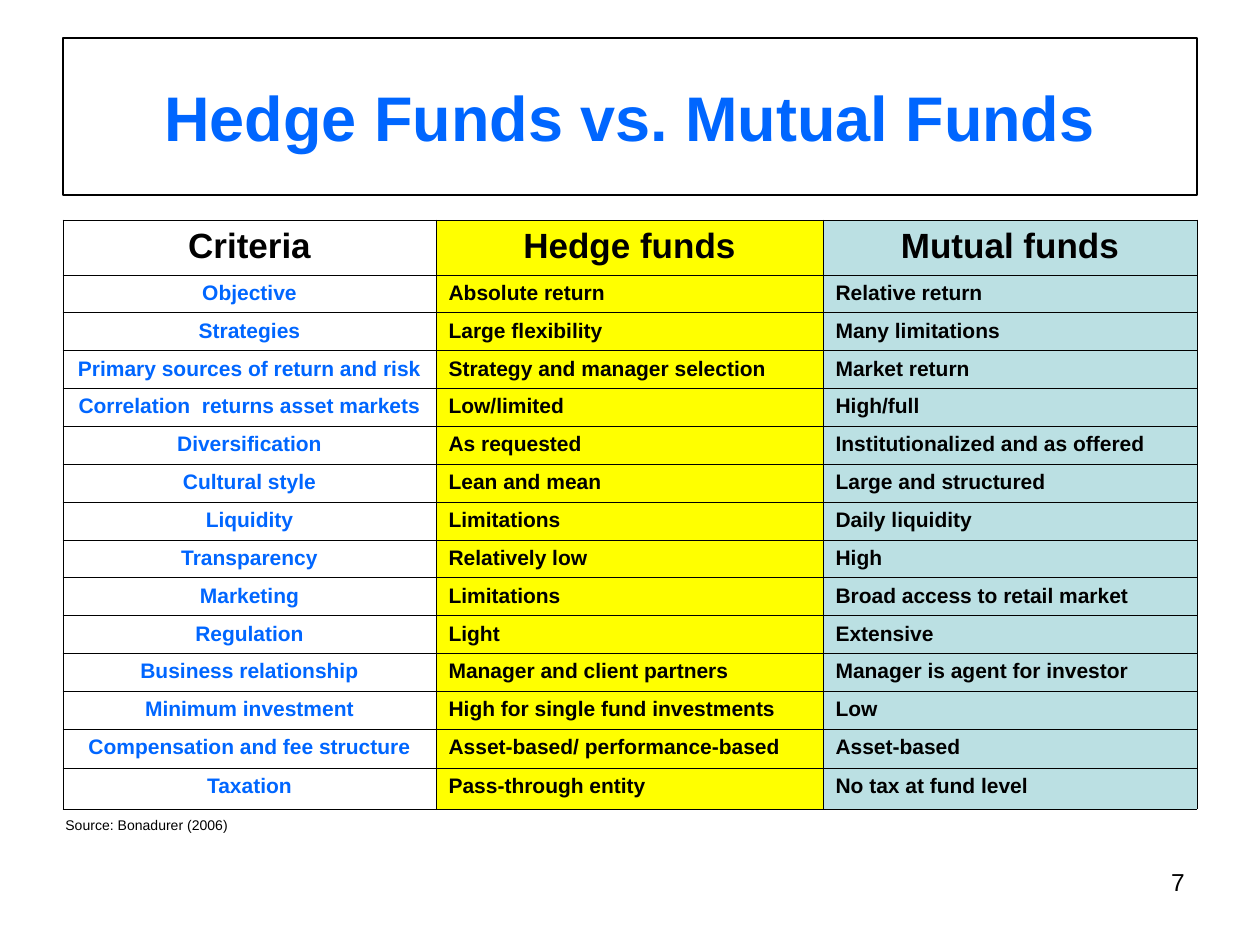
from dataclasses import dataclass

from lxml.etree import SubElement
from pptx import Presentation
from pptx.dml.color import RGBColor
from pptx.enum.shapes import MSO_SHAPE
from pptx.enum.text import MSO_ANCHOR, PP_ALIGN
from pptx.oxml.ns import qn
from pptx.util import Emu, Pt

PX_PER_INCH = 126


@dataclass(frozen=True)
class Theme:
    font: str = "Arial"
    black: str = "000000"
    blue: str = "0066FF"
    yellow: str = "FFFF00"
    teal: str = "BBE0E3"
    title_size: int = 36
    header_size: int = 20
    body_size: int = 12
    number_size: int = 14
    source_size: int = 8
    frame_width: float = 1.5
    grid_width: float = 0.45


THEME = Theme()


@dataclass(frozen=True)
class Box:
    left: int
    top: int
    width: int
    height: int

    def emu(self) -> tuple:
        return px(self.left), px(self.top), px(self.width), px(self.height)


@dataclass(frozen=True)
class Column:
    header: str
    width: int
    fill: str | None
    color: str
    align: PP_ALIGN


@dataclass(frozen=True)
class Criterion:
    name: str
    hedge: str
    mutual: str


TITLE_BOX = Box(63, 38, 1134, 157)
TABLE_BOX = Box(63, 220, 1134, 589)
SOURCE_BOX = Box(53, 810, 207, 30)
NUMBER_BOX = Box(903, 861, 294, 65)

HEADER_HEIGHT = 55
EVEN_ROWS = 12
EVEN_ROWS_HEIGHT = 454
LAST_HEIGHTS = (39, 41)

COLUMNS = (
    Column("Criteria", 373, None, THEME.blue, PP_ALIGN.CENTER),
    Column("Hedge funds", 387, THEME.yellow, THEME.black, PP_ALIGN.LEFT),
    Column("Mutual funds", 374, THEME.teal, THEME.black, PP_ALIGN.LEFT),
)

CRITERIA = (
    Criterion("Objective", "Absolute return", "Relative return"),
    Criterion("Strategies", "Large flexibility", "Many limitations"),
    Criterion("Primary sources of return and risk", "Strategy and manager selection", "Market return"),
    Criterion("Correlation  returns asset markets", "Low/limited", "High/full"),
    Criterion("Diversification", "As requested", "Institutionalized and as offered"),
    Criterion("Cultural style", "Lean and mean", "Large and structured"),
    Criterion("Liquidity", "Limitations", "Daily liquidity"),
    Criterion("Transparency", "Relatively low", "High"),
    Criterion("Marketing", "Limitations", "Broad access to retail market"),
    Criterion("Regulation", "Light", "Extensive"),
    Criterion("Business relationship", "Manager and client partners", "Manager is agent for investor"),
    Criterion("Minimum investment", "High for single fund investments", "Low"),
    Criterion("Compensation and fee structure", "Asset-based/ performance-based", "Asset-based"),
    Criterion("Taxation", "Pass-through entity", "No tax at fund level"),
)


def px(length: int) -> Emu:
    return Emu(round(length * 914400 / PX_PER_INCH))


def write(frame, text: str, size: int, color: str, align: PP_ALIGN, bold: bool = False) -> None:
    frame.word_wrap = True
    para = frame.paragraphs[0]
    para.text = text
    para.alignment = align
    para.font.name = THEME.font
    para.font.size = Pt(size)
    para.font.bold = bold
    para.font.color.rgb = RGBColor.from_string(color)


def add_label(page, box: Box, text: str, size: int, align: PP_ALIGN) -> None:
    label = page.shapes.add_textbox(*box.emu())
    write(label.text_frame, text, size, THEME.black, align)


def add_title(page, text: str) -> None:
    frame = page.shapes.add_shape(MSO_SHAPE.RECTANGLE, *TITLE_BOX.emu())
    frame.shadow.inherit = False
    frame.fill.background()
    frame.line.color.rgb = RGBColor.from_string(THEME.black)
    frame.line.width = Pt(THEME.frame_width)
    frame.text_frame.vertical_anchor = MSO_ANCHOR.MIDDLE
    write(frame.text_frame, text, THEME.title_size, THEME.blue, PP_ALIGN.CENTER, bold=True)


def add_borders(cell) -> None:
    """Draw all four sides; call before the fill, which must follow the lines in the XML."""
    properties = cell._tc.get_or_add_tcPr()
    for side in ("a:lnL", "a:lnR", "a:lnT", "a:lnB"):
        line = SubElement(properties, qn(side), w=str(Pt(THEME.grid_width)))
        SubElement(SubElement(line, qn("a:solidFill")), qn("a:srgbClr"), val=THEME.black)


def fill_cell(cell, column: Column, text: str, is_header: bool) -> None:
    add_borders(cell)
    if column.fill:
        cell.fill.solid()
        cell.fill.fore_color.rgb = RGBColor.from_string(column.fill)
    else:
        cell.fill.background()
    if is_header:
        write(cell.text_frame, text, THEME.header_size, THEME.black, PP_ALIGN.CENTER, bold=True)
    else:
        write(cell.text_frame, text, THEME.body_size, column.color, column.align, bold=True)


def add_comparison(page) -> None:
    texts = [tuple(column.header for column in COLUMNS)]
    texts += [(item.name, item.hedge, item.mutual) for item in CRITERIA]
    table = page.shapes.add_table(len(texts), len(COLUMNS), *TABLE_BOX.emu()).table
    table.first_row = False
    table.horz_banding = False
    for index, column in enumerate(COLUMNS):
        table.columns[index].width = px(column.width)
    even_height = Emu(px(EVEN_ROWS_HEIGHT) // EVEN_ROWS)
    heights = [px(HEADER_HEIGHT)] + [even_height] * EVEN_ROWS + [px(height) for height in LAST_HEIGHTS]
    for row_index, (row, height) in enumerate(zip(texts, heights)):
        table.rows[row_index].height = height
        for column_index, (column, text) in enumerate(zip(COLUMNS, row)):
            fill_cell(table.cell(row_index, column_index), column, text, row_index == 0)


def main() -> None:
    deck = Presentation()
    deck.slide_width = px(1260)
    deck.slide_height = px(945)
    page = deck.slides.add_slide(deck.slide_layouts[6])
    add_label(page, NUMBER_BOX, "7", THEME.number_size, PP_ALIGN.RIGHT)
    add_title(page, "Hedge Funds vs. Mutual Funds")
    add_comparison(page)
    add_label(page, SOURCE_BOX, "Source: Bonadurer (2006)", THEME.source_size, PP_ALIGN.LEFT)
    deck.save("out.pptx")


if __name__ == "__main__":
    main()
